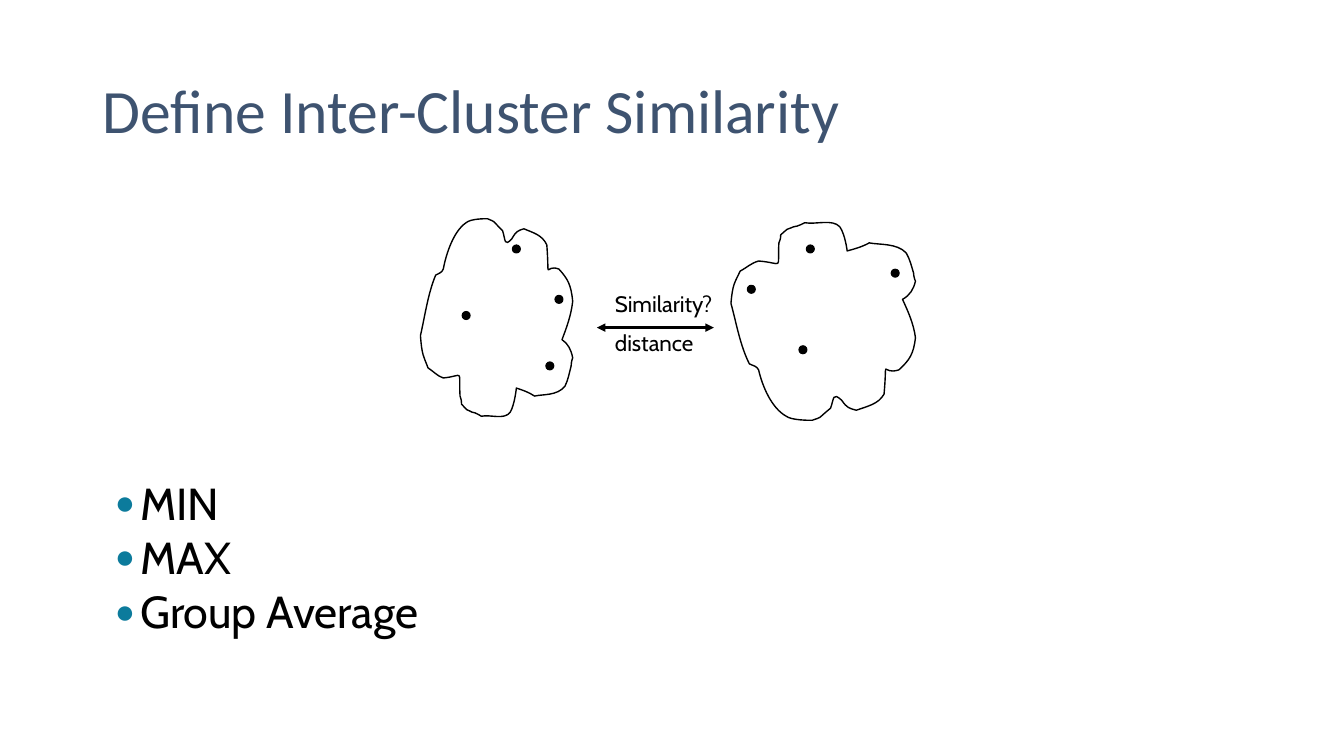
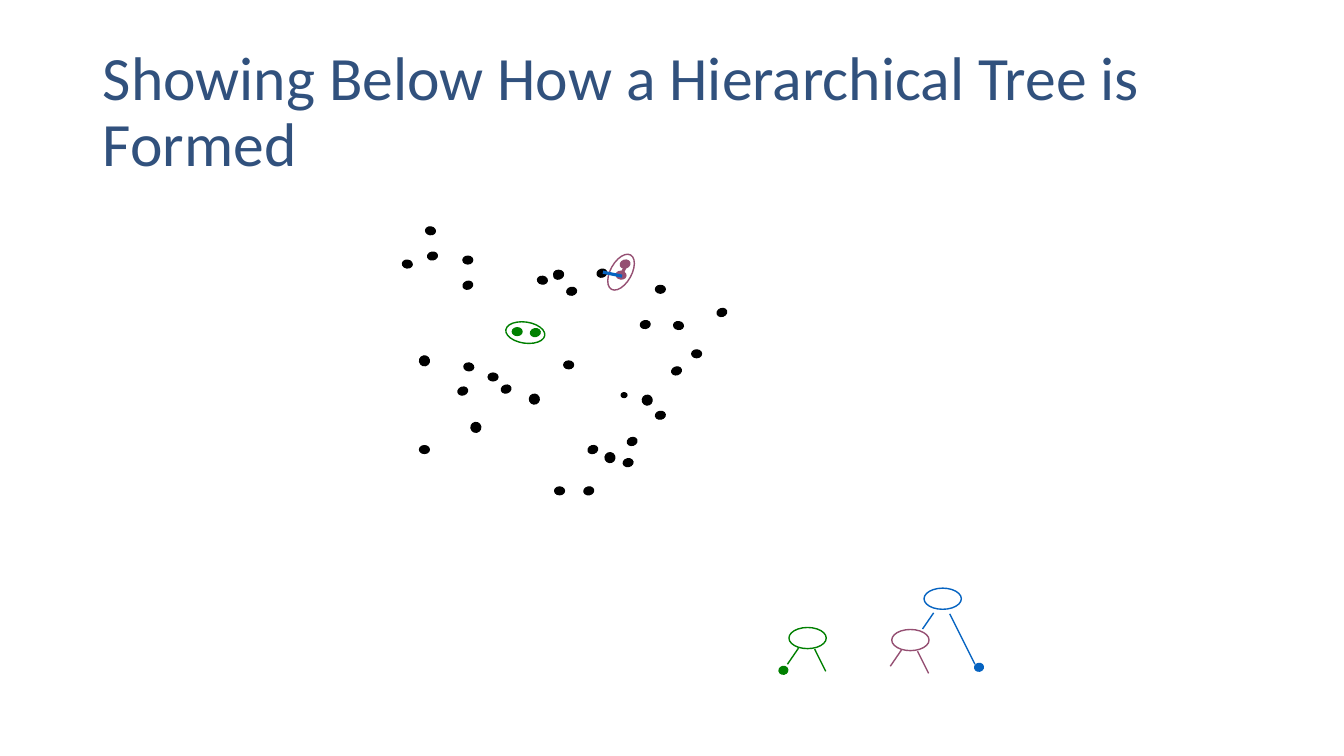
from lxml import etree
from pptx import Presentation
from pptx.dml.color import RGBColor
from pptx.enum.shapes import MSO_CONNECTOR, MSO_SHAPE
from pptx.enum.text import MSO_ANCHOR, MSO_AUTO_SIZE, PP_ALIGN
from pptx.oxml.ns import qn
from pptx.util import Inches, Pt

OVAL = MSO_SHAPE.OVAL
STRAIGHT = MSO_CONNECTOR.STRAIGHT
LEFT = PP_ALIGN.LEFT
MIDDLE = MSO_ANCHOR.MIDDLE
TOP = MSO_ANCHOR.TOP
NO_AUTOFIT = MSO_AUTO_SIZE.NONE
GROW = MSO_AUTO_SIZE.SHAPE_TO_FIT_TEXT

SLIDE_SIZE = (13.33, 7.5)
TITLE_BOX = (0.92, 0.4, 11.5, 1.45)
BODY_BOX = (0.92, 2, 11.5, 4.76)
TITLE_FONT, TEXT_FONT = "Calibri", "Cabin"
BLACK, TEAL = "000000", "0C7B9C"
GREEN, PURPLE, BLUE = "008000", "954F72", "0563C1"
TITLE_ONLY, TITLE_AND_BODY = 5, 1

# Cluster outline in percent of its box: a start, then cubic curves
# given as two control points and an end point.
OUTLINE_START = (10, 28)
OUTLINE_CURVES = [
    (5, 37, 3, 48, 0, 58), (1, 68, 2, 68, 5, 74), (9, 76, 11, 78, 15, 79),
    (29, 78, 25, 74, 26, 88), (27, 90, 27, 91, 27, 92),
    (32, 96, 29, 94, 34, 96), (36, 96, 40, 98, 40, 98),
    (46, 97, 55, 100, 59, 96), (62, 92, 63, 84, 63, 84),
    (67, 85, 71, 86, 75, 88), (80, 87, 90, 88, 95, 83),
    (97, 80, 98, 76, 99, 73), (99, 71, 100, 69, 100, 69),
    (99, 65, 97, 62, 93, 60), (96, 54, 99, 48, 100, 41),
    (99, 33, 97, 30, 91, 25), (81, 22, 85, 33, 83, 13),
    (80, 8, 74, 7, 68, 5), (64, 6, 63, 6, 60, 10), (55, 14, 56, 11, 54, 6),
    (46, 0, 50, 2, 44, 0), (42, 0, 33, 0, 30, 2), (22, 6, 17, 17, 15, 25),
    (14, 27, 12, 27, 10, 28),
]

# Scattered points: tilt, width, height, centres
FLAT, RISING, FALLING, STEEP = 0, -10.4, 8.3, -18.6
POINT_GROUPS = [
    (FLAT, 0.1, 0.08, [(0.89, 1.54), (2.91, 1.31), (1.55, 2.67), (1.64, 1.42),
                       (1.54, 0.52), (0.64, 0.38), (0.21, 2.26), (2.55, 0.67)]),
    (FLAT, 0.06, 0.05, [(2.19, 1.72)]),
    (STEEP, 0.1, 0.08, [(3.16, 0.9), (1.88, 2.26), (2.27, 2.18), (0.59, 1.68),
                        (1.54, 0.53), (1.97, 0.51), (0.64, 0.63),
                        (1.02, 1.66), (2.71, 1.48)]),
    (FALLING, 0.1, 0.08, [(0.04, 0.42), (0.65, 1.44), (1.38, 0.58),
                          (2.73, 1.03), (0.27, 0.09)]),
    (FALLING, 0.1, 0.1, [(1.3, 1.76), (2.42, 1.77), (2.05, 2.34)]),
    (RISING, 0.1, 0.08, [(1.84, 2.67), (0.29, 0.34), (2.55, 1.92),
                         (2.4, 1.02), (1.67, 0.69), (2.23, 2.39)]),
    (RISING, 0.1, 0.1, [(0.21, 1.38), (0.72, 2.04)]),
]
# Merged pairs: colour, ring centre, ring tilt, points with their tilt
PAIRS = [
    (PURPLE, (2.16, 0.5), 299.1, [(2.2, 0.42, STEEP), (2.16, 0.53, FALLING)]),
    (GREEN, (1.21, 1.1), 8.3, [(1.13, 1.09, FLAT), (1.31, 1.1, RISING)]),
]
LINKS = [(PURPLE, (2.16, 0.53), (2.21, 0.43)),
         (BLUE, (1.98, 0.5), (2.17, 0.54))]
# Tree nodes: colour, centre, gap above the legs, run and drop of the right leg
NODES = [(GREEN, (0.31, 0.53), 0.1, 0.11, 0.22),
         (PURPLE, (1.33, 0.55), 0.1, 0.11, 0.22),
         (BLUE, (1.65, 0.14), 0.14, 0.25, 0.5)]
LEAVES = [(GREEN, (0.07, 0.85)), (BLUE, (2.01, 0.82))]


def rgb(hex_colour):
    return RGBColor.from_string(hex_colour)


def shift(origin, point):
    return origin[0] + point[0], origin[1] + point[1]


def place(shape, box):
    shape.left, shape.top, shape.width, shape.height = map(Inches, box)


def style_runs(paragraph, font, size, colour):
    for run in paragraph.runs:
        run.font.name = font
        run.font.size = Pt(size)
        run.font.color.rgb = rgb(colour)


def style_shape(shape, line, width, fill=None):
    shape.shadow.inherit = False
    shape.line.color.rgb = rgb(line)
    shape.line.width = Pt(width)
    if fill:
        shape.fill.solid()
        shape.fill.fore_color.rgb = rgb(fill)
    else:
        shape.fill.background()


def add_oval(slide, centre, size, colour, tilt=0, filled=True):
    (x, y), (w, h) = centre, size
    oval = slide.shapes.add_shape(
        OVAL, *map(Inches, (x - w / 2, y - h / 2, w, h)))
    oval.rotation = tilt
    style_shape(oval, colour, 0.75 if filled else 1, colour if filled else None)


def add_line(slide, start, end, colour, width, arrows=False):
    line = slide.shapes.add_connector(STRAIGHT, *map(Inches, (*start, *end)))
    line.line.color.rgb = rgb(colour)
    line.line.width = Pt(width)
    if arrows:
        stroke = line.line._get_or_add_ln()
        for tip in ("a:headEnd", "a:tailEnd"):
            etree.SubElement(stroke, qn(tip), type="triangle")
    etree.SubElement(line._element.spPr, qn("a:effectLst"))


def add_titled_slide(prs, layout, title_text, colour):
    slide = prs.slides.add_slide(prs.slide_layouts[layout])
    title = slide.shapes.title
    place(title, TITLE_BOX)
    frame = title.text_frame
    frame.text = title_text
    frame.auto_size = NO_AUTOFIT
    frame.vertical_anchor = MIDDLE
    paragraph = frame.paragraphs[0]
    paragraph.alignment = LEFT
    paragraph.line_spacing = 0.9
    style_runs(paragraph, TITLE_FONT, 44, colour)
    return slide


def add_bullet(paragraph):
    props = paragraph._p.get_or_add_pPr()
    props.set("marL", str(Inches(0.37)))
    props.set("indent", str(Inches(-0.25)))
    colour = etree.SubElement(props, qn("a:buClr"))
    etree.SubElement(colour, qn("a:srgbClr"), val=TEAL)
    etree.SubElement(props, qn("a:buSzPct"), val="75000")
    etree.SubElement(props, qn("a:buChar"), char="●")


def fill_bullets(body, box, inset, items):
    """Bullets that start at the given inset below the top of the box."""
    place(body, box)
    frame = body.text_frame
    frame.text = "\n".join(items)
    frame.auto_size = NO_AUTOFIT
    frame.vertical_anchor = TOP
    frame.margin_top = Inches(inset)
    for paragraph in frame.paragraphs:
        paragraph.line_spacing = 0.9
        paragraph.space_before = paragraph.space_after = Pt(2)
        add_bullet(paragraph)
        style_runs(paragraph, TEXT_FONT, 32, BLACK)


def bend_segments(outline, curves):
    """Turn the straight segments into curves on a 100 by 100 grid."""
    grid = next(outline._element.iter(qn("a:path")))
    grid.set("w", "100")
    grid.set("h", "100")
    start = next(grid.iter(qn("a:pt")))
    start.set("x", str(curves[-1][-1][0]))
    start.set("y", str(curves[-1][-1][1]))
    for segment, curve in zip(grid.findall(qn("a:lnTo")), curves):
        bend = etree.Element(qn("a:cubicBezTo"))
        for x, y in curve:
            etree.SubElement(bend, qn("a:pt"), x=str(x), y=str(y))
        grid.replace(segment, bend)


def add_cluster(slide, box, points, flipped=False):
    """Outline filling the box, with points given in percent of it."""
    left, top, width, height = box

    def on_grid(x, y):
        return x, 100 - y if flipped else y

    curves = [[on_grid(*curve[i:i + 2]) for i in (0, 2, 4)]
              for curve in OUTLINE_CURVES]
    builder = slide.shapes.build_freeform(*on_grid(*OUTLINE_START))
    builder.add_line_segments([curve[-1] for curve in curves])
    outline = builder.convert_to_shape()
    bend_segments(outline, curves)
    place(outline, box)
    style_shape(outline, BLACK, 1)
    for x, y in points:
        centre = (left + width * x / 100, top + height * y / 100)
        add_oval(slide, centre, (0.08, 0.08), BLACK)


def add_distance_arrow(slide, box):
    left, top, width, height = box
    middle = top + 0.42
    add_line(slide, (left - 0.08, middle), (left + 1.08, middle),
             BLACK, 2, arrows=True)
    frame = slide.shapes.add_textbox(*map(Inches, box)).text_frame
    frame.word_wrap = True
    frame.auto_size = GROW
    frame.text = "Similarity?\ndistance"
    for paragraph in frame.paragraphs:
        paragraph.space_before = Pt(8.5)
        style_runs(paragraph, TEXT_FONT, 16, BLACK)


def add_scatter(slide, origin):
    for tilt, width, height, centres in POINT_GROUPS:
        for centre in centres:
            add_oval(slide, shift(origin, centre), (width, height), BLACK, tilt)
    for colour, ring, ring_tilt, members in PAIRS:
        for x, y, tilt in members:
            add_oval(slide, shift(origin, (x, y)), (0.1, 0.08), colour, tilt)
        add_oval(slide, shift(origin, ring), (0.39, 0.21), colour,
                 ring_tilt, filled=False)
    for colour, start, end in LINKS:
        add_line(slide, shift(origin, start), shift(origin, end), colour, 2.25)


def add_tree(slide, origin):
    for colour, leaf in LEAVES:
        add_oval(slide, shift(origin, leaf), (0.09, 0.08), colour, RISING)
    for colour, centre, gap, run, drop in NODES:
        node = shift(origin, centre)
        add_oval(slide, node, (0.37, 0.21), colour, filled=False)
        for start, reach in (((-0.09, gap), (-0.11, 0.16)),
                             ((0.07, gap + 0.01), (run, drop))):
            top = shift(node, start)
            add_line(slide, top, shift(top, reach), colour, 1)


def build_similarity_slide(prs):
    slide = add_titled_slide(prs, TITLE_AND_BODY,
                             "Define Inter-Cluster Similarity", "3E5370")
    fill_bullets(slide.placeholders[1], BODY_BOX, 2.78,
                 ["MIN", "MAX", "Group Average"])
    add_distance_arrow(slide, (6, 2.83, 1.58, 0.77))
    add_cluster(slide, (4.17, 2.17, 1.51, 2),
                [(85, 73), (63, 15), (30, 48), (91, 40)])
    add_cluster(slide, (7.25, 2.17, 1.83, 2),
                [(89, 27), (39, 65), (11, 35), (43, 15)], flipped=True)


def build_tree_slide(prs):
    slide = add_titled_slide(
        prs, TITLE_ONLY, "Showing Below How a Hierarchical Tree is Formed",
        "31517D")
    add_scatter(slide, (4, 2.2))
    add_tree(slide, (7.7, 5.8))


def main():
    prs = Presentation()
    prs.slide_width, prs.slide_height = map(Inches, SLIDE_SIZE)
    build_similarity_slide(prs)
    build_tree_slide(prs)
    prs.save("out.pptx")


if __name__ == "__main__":
    main()
